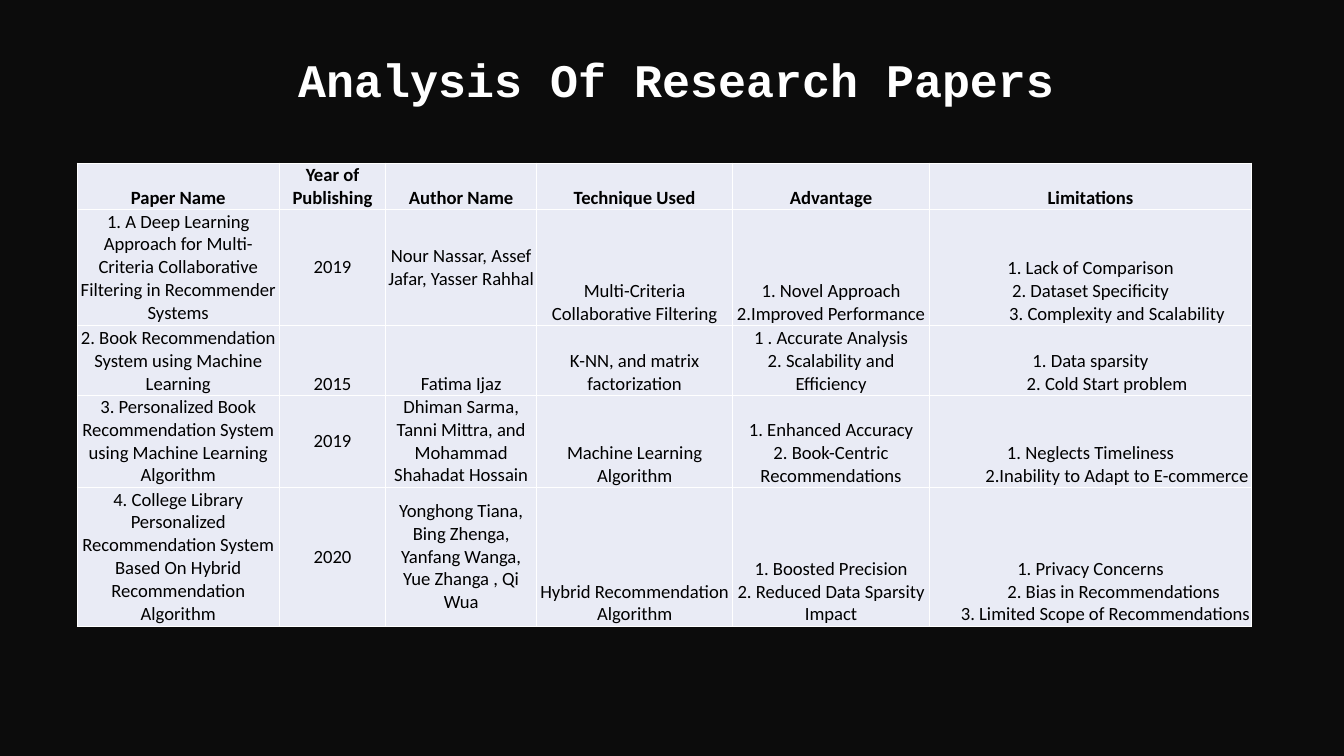
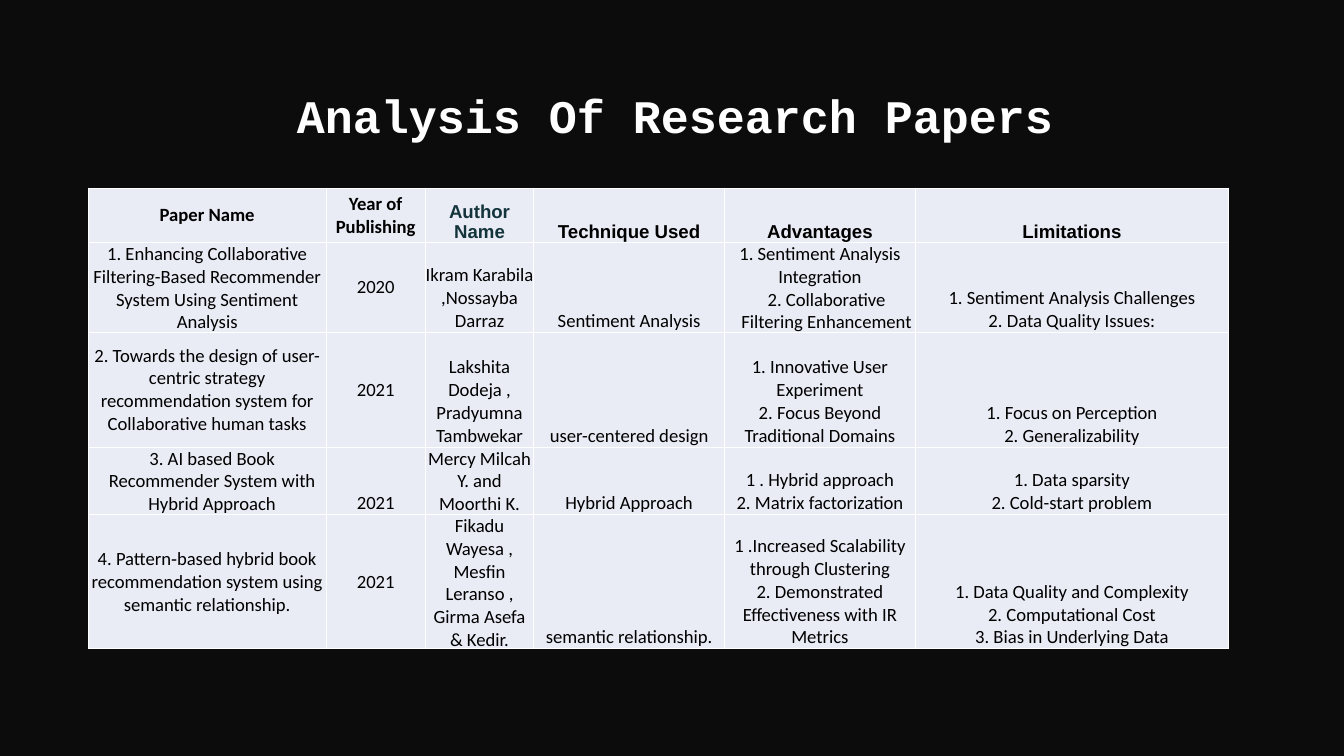
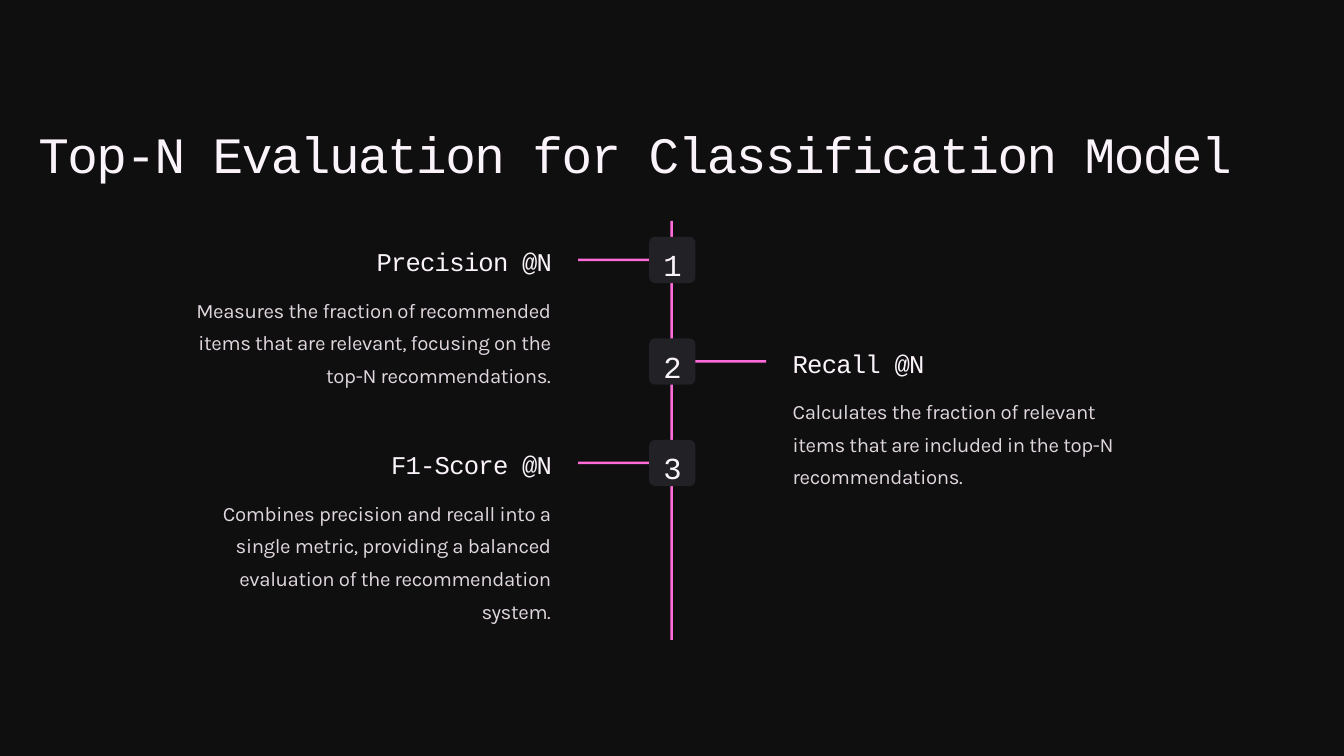
"""Build three slides: two tables of research papers and a metric timeline."""
from lxml.etree import SubElement
from pptx import Presentation
from pptx.dml.color import RGBColor as RGB
from pptx.enum.shapes import MSO_SHAPE as Shape
from pptx.enum.text import MSO_ANCHOR as Anchor
from pptx.enum.text import MSO_AUTO_SIZE as Size
from pptx.enum.text import PP_ALIGN as Align
from pptx.oxml.ns import qn
from pptx.util import Cm, Pt

HUES = {
    "night": "0C0C0C", "coal": "0F0F10", "white": "FFFFFF", "black": "000000",
    "cell": "E9EBF5", "teal": "13343B", "pink": "FF6BD8", "node": "212126",
    "pale": "FBF3FA", "mist": "E0D6DE",
}
MONO = "Courier New"
LOOKS = {
    "title": {"name": MONO, "size": Pt(40), "bold": True, "hue": "white"},
    "cell": {"name": "Calibri", "size": Pt(16), "bold": False, "hue": "black"},
    "top": {"name": "Calibri", "size": Pt(16), "bold": True, "hue": "black"},
    "sans": {"name": "Arial", "size": Pt(16), "bold": True, "hue": "black"},
    "teal": {"name": "Arial", "size": Pt(16), "bold": True, "hue": "teal"},
    "large": {"name": MONO, "size": Pt(43.7), "hue": "pale", "lead": 54.7, "track": -130},
    "digit": {"name": MONO, "size": Pt(26.2), "hue": "pale", "lead": 32.8, "track": -80},
    "head": {"name": MONO, "size": Pt(21.9), "hue": "pale", "lead": 27.3, "track": -70},
    "body": {"name": "Karla", "size": Pt(17.5), "hue": "mist", "lead": 28, "track": -30},
}
SPOTS = {"m": Anchor.MIDDLE, "b": Anchor.BOTTOM}


class Deck:
    """Hold the style and the current slide."""

    def __init__(self):
        self.show = Presentation()
        self.show.slide_width, self.show.slide_height = Cm(40.64), Cm(22.86)

    def page(self, hue):
        """Start a blank slide with a dark ground."""
        self.slide = self.show.slides.add_slide(self.show.slide_layouts[6])
        self.paint(self.slide.background.fill, hue)

    def paint(self, fill, hue):
        """Fill with a named colour."""
        fill.solid()
        fill.fore_color.rgb = RGB.from_string(HUES[hue])

    def style(self, para, words, look, align):
        """Put styled words in a paragraph."""
        form = dict(LOOKS[look])
        hue, lead, track = form.pop("hue"), form.pop("lead", None), form.pop("track", None)
        para.alignment = align
        if lead:
            para.line_spacing = Pt(lead)
        run = para.add_run()
        run.text = words
        for key, value in form.items():
            setattr(run.font, key, value)
        run.font.color.rgb = RGB.from_string(HUES[hue])
        if track:
            run.font._element.set("spc", str(track))

    def text(self, box, words, look, align=Align.LEFT, wrap=True, grow=False):
        """Add a text box."""
        frame = self.slide.shapes.add_textbox(*map(Cm, box)).text_frame
        frame.word_wrap = wrap
        frame.auto_size = Size.SHAPE_TO_FIT_TEXT if grow else Size.NONE
        self.style(frame.paragraphs[0], words, look, align)

    def title(self, box):
        """Add the heading shared by the table slides."""
        self.text(box, "Analysis Of Research Papers", "title", Align.CENTER, grow=True)

    def block(self, box, hue, curve=None):
        """Add a plain or rounded rectangle."""
        kind = Shape.ROUNDED_RECTANGLE if curve else Shape.RECTANGLE
        shape = self.slide.shapes.add_shape(kind, *map(Cm, box))
        if curve:
            shape.adjustments[0] = curve
        shape.shadow.inherit = False
        shape.line.fill.background()
        self.paint(shape.fill, hue)

    def edge(self, cell):
        """Draw thin white borders round a cell."""
        props = cell._tc.get_or_add_tcPr()
        for side in ("a:lnL", "a:lnR", "a:lnT", "a:lnB"):
            line = SubElement(props, qn(side), w=str(Pt(1)))
            fill = SubElement(line, qn("a:solidFill"))
            SubElement(fill, qn("a:srgbClr"), val=HUES["white"])

    def cell(self, cell, lines, look, spot):
        """Fill one cell; a line may be a pair of words and indent."""
        self.edge(cell)
        self.paint(cell.fill, "cell")
        cell.vertical_anchor = SPOTS[spot]
        for side in ("left", "right", "top", "bottom"):
            setattr(cell, f"margin_{side}", 0)
        frame = cell.text_frame
        for i, line in enumerate(lines if isinstance(lines, list) else [lines]):
            words, shift = line if isinstance(line, tuple) else (line, 0)
            para = frame.add_paragraph() if i else frame.paragraphs[0]
            if shift:
                para._p.get_or_add_pPr().set("marL", str(Cm(shift)))
            self.style(para, words, look, Align.CENTER)

    def table(self, spot, wide, tall, tops, rows, modes):
        """Add a table with header looks and row anchors."""
        box = (*spot, sum(wide), sum(tall))
        grid = self.slide.shapes.add_table(len(tall), len(wide), *map(Cm, box)).table
        for col, size in zip(grid.columns, wide):
            col.width = Cm(size)
        for r, (size, row, mode) in enumerate(zip(tall, rows, modes)):
            grid.rows[r].height = Cm(size)
            for c, lines in enumerate(row):
                self.cell(grid.cell(r, c), lines, "cell" if r else tops[c], mode[c])

    def step(self, mark, top, head, body, left):
        """Add a numbered node with its bar and texts."""
        side = Align.RIGHT if left else Align.LEFT
        self.block((17.48 if left else 21.01, top + 0.66, 2.16, 0.08), "pink")
        self.block((19.63, top, 1.4, 1.4), "node", 0.13)
        self.text((20.07, top + 0.11, 0.53, 1.17), mark, "digit", Align.CENTER, False)
        self.text((9.22 if left else 23.72, top + 0.13, 7.72, 0.97), head, "head", side, False)
        self.text((5.66 if left else 23.72, top + 1.47, 11.25, 3.94 if left else 2.97),
                  body, "body", side)


FIRST = [
    ["Paper Name", "Year of Publishing", "Author Name", "Technique Used", "Advantage",
     "Limitations"],
    ["1. A Deep Learning Approach for Multi-Criteria Collaborative Filtering in "
     "Recommender Systems", "2019", "Nour Nassar, Assef Jafar, Yasser Rahhal",
     "Multi-Criteria Collaborative Filtering",
     ["1. Novel Approach", "2.Improved Performance"],
     ["1. Lack of Comparison", "2. Dataset Specificity",
      ("3. Complexity and Scalability", 1.6)]],
    ["2. Book Recommendation System using Machine Learning", "2015", "Fatima Ijaz",
     "K-NN, and matrix factorization",
     ["1 . Accurate Analysis", "2. Scalability and Efficiency"],
     ["1. Data sparsity", ("2. Cold Start problem", 1)]],
    ["3. Personalized Book Recommendation System using Machine Learning Algorithm",
     "2019", "Dhiman Sarma, Tanni Mittra, and Mohammad Shahadat Hossain",
     "Machine Learning Algorithm",
     ["1. Enhanced Accuracy", "2. Book-Centric Recommendations"],
     ["1. Neglects Timeliness", ("2.Inability to Adapt to E-commerce", 1.6)]],
    ["4. College Library Personalized Recommendation System Based On Hybrid "
     "Recommendation Algorithm", "2020",
     "Yonghong Tiana, Bing Zhenga, Yanfang Wanga, Yue Zhanga , Qi Wua",
     "Hybrid Recommendation Algorithm",
     ["1. Boosted Precision", "2. Reduced Data Sparsity Impact"],
     ["1. Privacy Concerns", ("2. Bias in Recommendations", 1.4),
      ("3. Limited Scope of Recommendations", 0.9)]],
]
SECOND = [
    ["Paper Name", "Year of Publishing", "Author Name", "Technique Used", "Advantages",
     "Limitations"],
    ["1. Enhancing Collaborative Filtering-Based Recommender System Using Sentiment "
     "Analysis", "2020", "Ikram Karabila ,Nossayba Darraz", "Sentiment Analysis",
     ["1. Sentiment Analysis Integration",
      ("2. Collaborative Filtering Enhancement", 0.4)],
     ["1. Sentiment Analysis Challenges", "2. Data Quality Issues:"]],
    ["2. Towards the design of user-centric strategy recommendation system for "
     "Collaborative human tasks", "2021", "Lakshita Dodeja , Pradyumna Tambwekar",
     "user-centered design",
     ["1. Innovative User Experiment", "2. Focus Beyond Traditional Domains"],
     ["1. Focus on Perception", "2. Generalizability"]],
    [[("3. AI based Book Recommender System with Hybrid Approach", 0.3)], "2021",
     "Mercy Milcah Y. and Moorthi K.", "Hybrid Approach",
     ["1 . Hybrid approach", "2. Matrix factorization"],
     ["1. Data sparsity", "2. Cold-start problem"]],
    ["4. Pattern‑based hybrid book recommendation system using semantic relationship.",
     "2021", "Fikadu Wayesa , Mesfin Leranso , Girma Asefa & Kedir.",
     "semantic relationship.",
     ["1 .Increased Scalability through Clustering",
      "2. Demonstrated Effectiveness with IR Metrics"],
     ["1. Data Quality and Complexity", "2. Computational Cost",
      "3. Bias in Underlying Data"]],
]
STEPS = [
    ("Precision @N", "Measures the fraction of recommended items that are relevant, "
     "focusing on the top-N recommendations."),
    ("Recall @N", "Calculates the fraction of relevant items that are included in the "
     "top-N recommendations."),
    ("F1-Score @N", "Combines precision and recall into a single metric, providing a "
     "balanced evaluation of the recommendation system."),
]


def main():
    """Build and save the slides."""
    deck = Deck()
    deck.page("night")
    deck.title((8.33, 1.42, 24.21, 1.96))
    deck.table((2.34, 4.93), (6.1, 3.23, 4.55, 5.94, 5.94, 9.75),
               (1.4, 3.51, 2.11, 2.79, 4.19), ["top"] * 6, FIRST,
               ("bbbbbb", "mmmbbb", "bbbbbb", "mmmbbb", "mmmbbb"))

    deck.page("night")
    deck.table((2.67, 5.69), (7.19, 3, 3.28, 5.77, 5.77, 9.47),
               (1.65, 2.49, 3.48, 1.65, 2.74),
               ["top", "top", "teal", "sans", "sans", "sans"], SECOND,
               ("mmbbbb", "mmbbbb", "mmbbbb", "bbbbbb", "mmbbbb"))
    deck.title((7.47, 2.51, 25.86, 2.74))

    deck.page("coal")
    deck.text((0.91, 3.51, 39.4, 1.93), "Top-N Evaluation for Classification Model",
              "large", wrap=False)
    deck.block((20.27, 6.68, 0.08, 12.67), "pink")
    for i, (head, body) in enumerate(STEPS):
        deck.step(str(i + 1), 7.16 + 3.07 * i, head, body, i % 2 == 0)
    deck.show.save("out.pptx")


if __name__ == "__main__":
    main()
